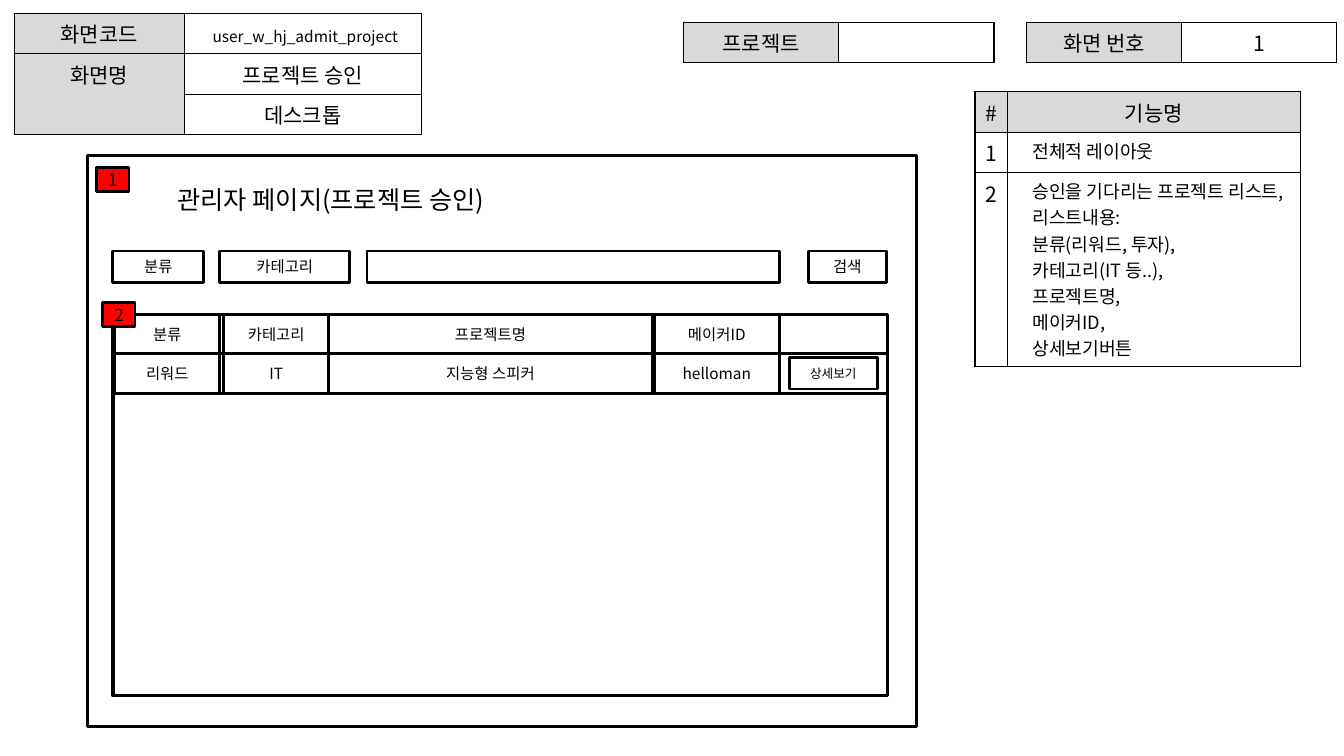
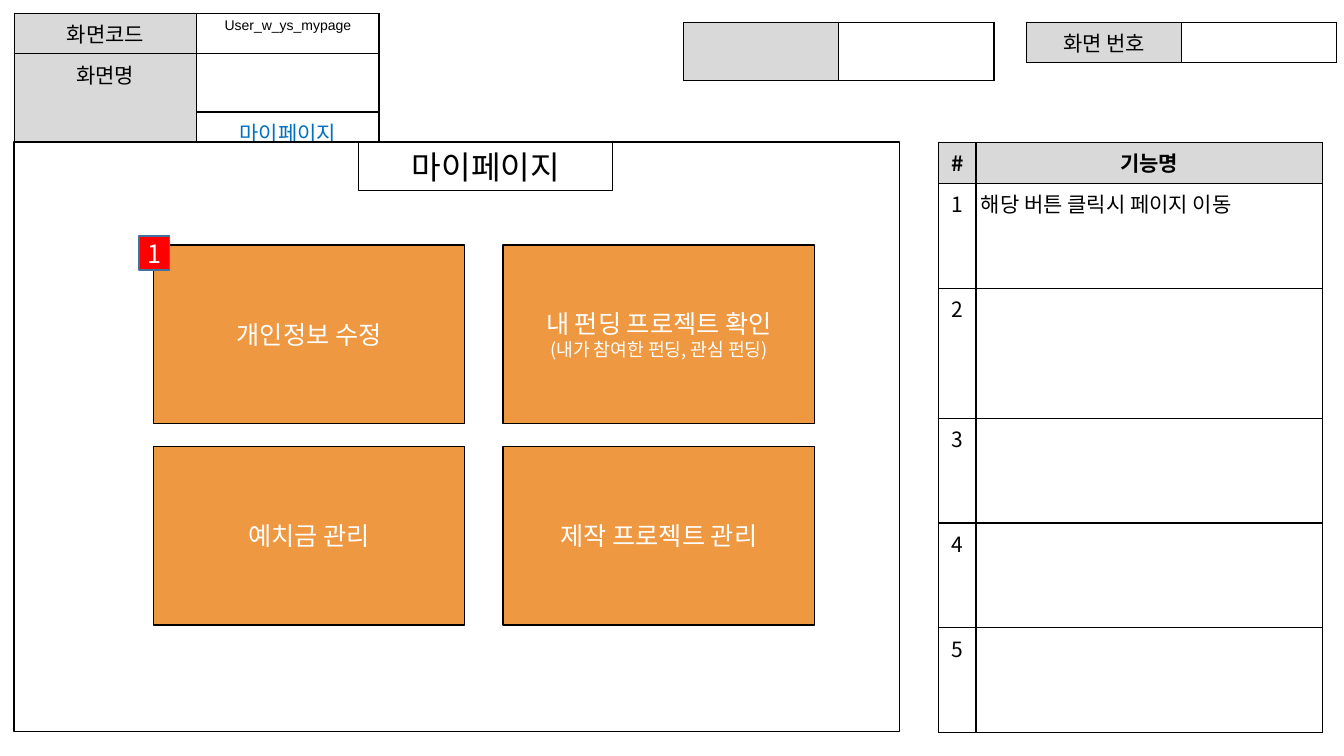
from lxml.etree import SubElement as Sub
from pptx import Presentation
from pptx.dml.color import RGBColor
from pptx.enum.shapes import MSO_CONNECTOR as Link, MSO_SHAPE as Shape
from pptx.enum.text import MSO_ANCHOR as Anchor, MSO_AUTO_SIZE as Auto, PP_ALIGN as Align
from pptx.oxml.ns import qn
from pptx.util import Pt

# Shared style
SCALE = 9144  # EMU in one px, 100 px to the inch
FONT = "Noto Sans CJK KR"
BLACK, WHITE, GREY = "000000", "FFFFFF", "D9D9D9"
RED, ORANGE, BLUE, NAVY = "FF0000", "EE9842", "0070C0", "42719B"


def px(size):
    return size * SCALE


def tint(code):
    return RGBColor.from_string(code)


def paint(fill, code):
    if code:
        fill.solid()
        fill.fore_color.rgb = tint(code)
    else:
        fill.background()


def stroke(line, code, width):
    line.color.rgb = tint(code)
    line.width = Pt(width)


def write(frame, text, size=15, color=BLACK, font=FONT, bold=False,
          align=Align.CENTER, indent=0):
    """Fill a frame with a string or a list of paragraphs.

    A paragraph is a string or a list of (text, size) runs.
    """
    paras = [text] if isinstance(text, str) else text
    for i, para in enumerate(paras):
        line = frame.add_paragraph() if i else frame.paragraphs[0]
        line.alignment = align
        if indent:
            line._p.get_or_add_pPr().set("marL", str(px(indent)))
        runs = [(para, size)] if isinstance(para, str) else para
        for words, points in runs:
            run = line.add_run()
            run.text = words
            run.font.size = Pt(points)
            run.font.bold = bold
            run.font.color.rgb = tint(color)
            run.font.name = font
            Sub(run.font._element, qn("a:ea"), typeface=font)


def pad(frame, edge, anchor):
    frame.margin_left = frame.margin_right = px(edge)
    frame.margin_top = frame.margin_bottom = px(5)
    frame.vertical_anchor = anchor
    frame.word_wrap = True


def box(slide, x, y, w, h, text=None, fill=None, line=BLACK, width=2,
        edge=10, **style):
    rect = slide.shapes.add_shape(Shape.RECTANGLE, px(x), px(y), px(w), px(h))
    rect.shadow.inherit = False
    paint(rect.fill, fill)
    stroke(rect.line, line, width)
    if text:
        pad(rect.text_frame, edge, Anchor.MIDDLE)
        write(rect.text_frame, text, **style)


def rule(slide, x, y, end):
    line = slide.shapes.add_connector(Link.STRAIGHT, px(x), px(y), px(end), px(y))
    stroke(line.line, BLACK, 2.25)
    Sub(line._element.spPr, qn("a:effectLst"))


def title(slide, x, y, w, h, text, edge=10, **style):
    """Place the title above all that is drawn so far."""
    head = slide.shapes.title
    head.left, head.top, head.width, head.height = map(px, (x, y, w, h))
    pad(head.text_frame, edge, Anchor.TOP)
    head.text_frame.auto_size = Auto.NONE
    write(head.text_frame, text, **style)
    head.element.getparent().append(head.element)
    return head


def border(cell):
    props = cell._tc.get_or_add_tcPr()
    for side in ("lnL", "lnR", "lnT", "lnB"):
        line = Sub(props, qn("a:" + side), w=str(Pt(0.96)))
        fill = Sub(line, qn("a:solidFill"))
        Sub(fill, qn("a:srgbClr"), val=BLACK)


def grid(slide, x, y, cols, rows, cells, top=False, edge=10):
    """Draw a table with a grey first row (top) or first column.

    A cell is its text or a pair of text and format.
    """
    table = slide.shapes.add_table(len(rows), len(cols), px(x), px(y),
                                   px(sum(cols)), px(sum(rows))).table
    table.first_row = table.horz_banding = False
    for col, w in zip(table.columns, cols):
        col.width = px(w)
    for row, h in zip(table.rows, rows):
        row.height = px(h)
    for r, items in enumerate(cells):
        for c, item in enumerate(items):
            cell = table.cell(r, c)
            border(cell)
            paint(cell.fill, GREY if (r if top else c) == 0 else WHITE)
            cell.margin_left = cell.margin_right = px(edge)
            text, style = (item, {}) if isinstance(item, str) else item
            write(cell.text_frame, text, **style)
    return table


def header(slide, cols, mid, code, name, kind, label="", number="", edge=10):
    """Draw the three tables at the top of each screen."""
    info = grid(slide, 14, 13, cols, (40, mid, 40),
                [("화면코드", code), ("화면명", name), ("", kind)], edge=edge)
    info.cell(1, 0).merge(info.cell(2, 0))
    half = (154, 154)
    grid(slide, 1018, 22, half, (40,), [("화면 번호", number)], edge=edge)
    grid(slide, 678, 22, half, (mid,), [(label, "")], edge=edge)


def admit(slide):
    header(slide, (169, 235), 40, [[(" ", 15), ("user_w_hj_admit_project", 11)]] and
           ([[(" ", 15), ("user_w_hj_admit_project", 11)]], {}),
           "프로젝트 승인", "데스크톱", "프로젝트", "1")
    note = dict(size=13, align=Align.LEFT, indent=15)
    grid(slide, 967, 91, (32, 291), (40, 40, 192), [
        ("#", "기능명"),
        ("1", ("전체적 레이아웃", note)),
        ("2", (["승인을 기다리는 프로젝트 리스트,", "리스트내용:",
                "분류(리워드, 투자),", "카테고리(IT 등..),", "프로젝트명,",
                "메이커ID,", "상세보기버튼"], note)),
    ], top=True)

    # Page and search bar
    box(slide, 87, 154, 822, 567)
    title(slide, 166, 178, 660, 40, "관리자 페이지(프로젝트 승인)",
          size=18, align=Align.LEFT)
    for x, w, text in ((112, 90, "분류"), (218, 129, "카테고리"),
                       (364, 409, ""), (802, 77, "검색")):
        box(slide, x, 249, w, 31, text, size=11)

    # Project list
    left, top, wide, step = 112, 312, 768, 39
    box(slide, left, top, wide, 378, width=2.25)
    spans = (114, 104), (222, 104), (326, 321), (649, 124)
    lines = (("분류", "카테고리", "프로젝트명", "메이커ID"),
             ("리워드", "IT", "지능형 스피커", "helloman"))
    for r, texts in enumerate(lines):
        y = top + r * step
        for (x, w), text in zip(spans, texts):
            box(slide, x, y, w, step, text, size=11)
        rule(slide, left, y + step, left + wide)
    box(slide, 783, 355, 87, 31, "상세보기", size=9)

    # Markers
    for x, y, text in ((96, 166, "1"), (102, 300, "2")):
        box(slide, x, y, 32, 24, text, fill=RED, size=12)


def mypage(slide):
    header(slide, (181, 181), 58, ("User_w_ys_mypage", dict(size=10, font="Arial")),
           "", ("마이페이지", dict(color=BLUE)), edge=5)
    bold = dict(bold=True)
    notes = ["해당 버튼 클릭시 페이지 이동", "", "", "", ""]
    grid(slide, 931, 141, (37, 344), (41, 104, 129, 104, 104, 104),
         [(("#", bold), ("기능명", bold))]
         + [(str(n), (text, dict(align=Align.LEFT)))
            for n, text in enumerate(notes, 1)],
         top=True, edge=5)

    # Page
    box(slide, 14, 141, 878, 585, fill=WHITE, width=1)
    head = title(slide, 356, 141, 252, 48, "마이페이지", edge=5, size=23)
    stroke(head.line, BLACK, 0.75)

    # Buttons, two in a row
    texts = ("개인정보 수정",
             ["내 펀딩 프로젝트 확인", [("(내가 참여한 펀딩, 관심 펀딩)", 13)]],
             "예치금 관리", "제작 프로젝트 관리")
    for i, text in enumerate(texts):
        r, c = divmod(i, 2)
        box(slide, 152 + 347 * c, 243 + 200 * r, 309, 177, text, fill=ORANGE,
            width=1, edge=5, size=18, color=WHITE)
    box(slide, 138, 234, 30, 34, "1", fill=RED, line=NAVY, width=1, edge=5,
        size=18, color=WHITE)


def main():
    deck = Presentation()
    deck.slide_width, deck.slide_height = px(1333), px(750)
    for draw in (admit, mypage):
        draw(deck.slides.add_slide(deck.slide_layouts[5]))
    deck.save("out.pptx")


if __name__ == "__main__":
    main()
